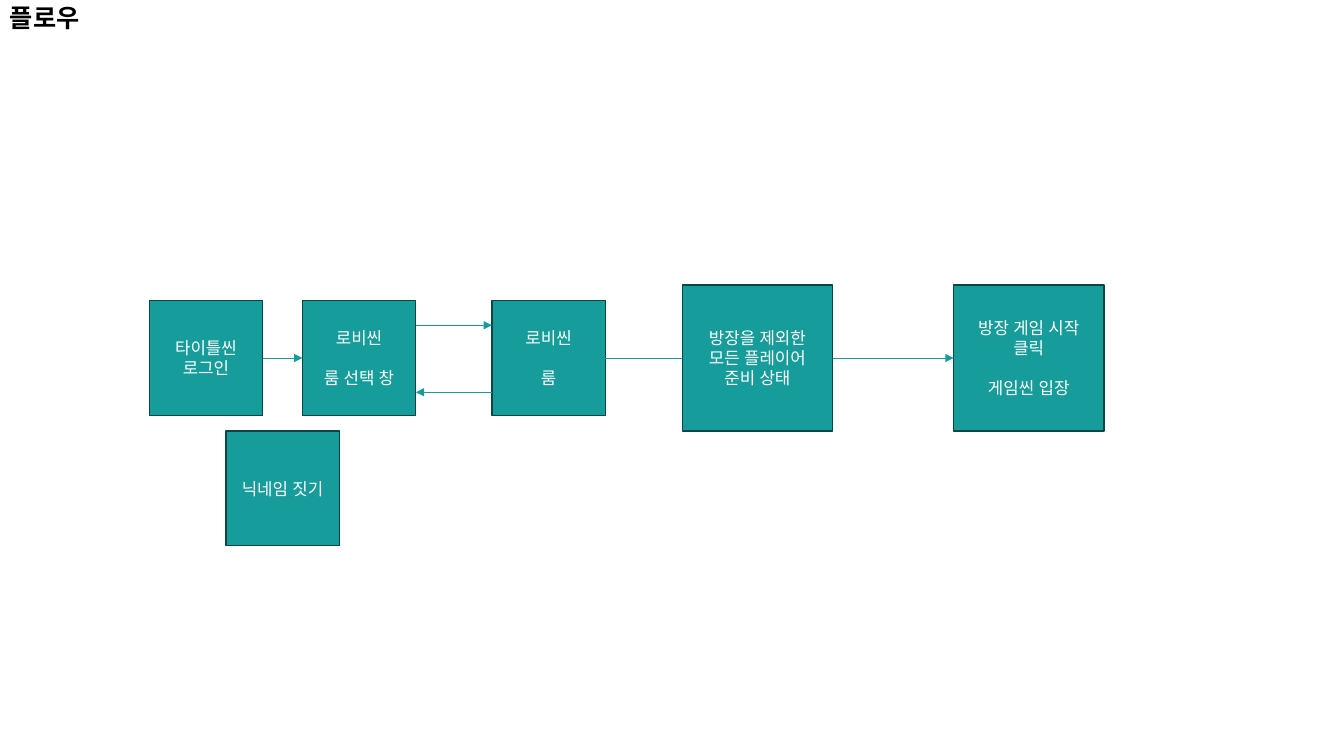
from dataclasses import dataclass

from lxml.etree import SubElement
from pptx import Presentation
from pptx.dml.color import RGBColor
from pptx.enum.shapes import MSO_CONNECTOR, MSO_SHAPE
from pptx.enum.text import MSO_ANCHOR, PP_ALIGN
from pptx.oxml.ns import qn
from pptx.util import Pt


@dataclass(frozen=True)
class Theme:
    font: str = "Lato"
    teal: RGBColor = RGBColor(0x16, 0x9C, 0x9A)
    outline: RGBColor = RGBColor(0x0A, 0x44, 0x43)
    white: RGBColor = RGBColor(0xFF, 0xFF, 0xFF)
    black: RGBColor = RGBColor(0, 0, 0)
    title_size: float = 18
    label_size: float = 12
    blank_line: float = 14.4


THEME = Theme()
SCENE = (81, 82)
STEP = (107.3, 104.5)
FLOW_MIDDLE = 255.7
LEFT, RIGHT = 1, 3


def write(para, text, *, size, color, bold=False, align=PP_ALIGN.LEFT, before=0):
    para.alignment = align
    para.space_before = Pt(before)
    span = para.add_run()
    span.text = text
    span.font.size = Pt(size)
    span.font.bold = bold
    span.font.color.rgb = color
    span.font.name = THEME.font
    SubElement(span.font._element, qn("a:ea"), typeface=THEME.font)


def add_title(page, text):
    box = page.shapes.add_textbox(Pt(0), Pt(0), Pt(100.8), Pt(67))
    frame = box.text_frame
    frame.word_wrap = True
    frame.margin_top = Pt(4)
    para = frame.paragraphs[0]
    para.line_spacing = 0.9
    write(para, text, size=THEME.title_size, color=THEME.black, bold=True)


def add_box(page, left, middle, size, lines, gap_before_last=False):
    """Add a teal box centred vertically on middle, one paragraph per line."""
    width, height = size
    box = page.shapes.add_shape(MSO_SHAPE.RECTANGLE, Pt(left), Pt(middle - height / 2),
                                Pt(width), Pt(height))
    box.shadow.inherit = False
    box.fill.solid()
    box.fill.fore_color.rgb = THEME.teal
    box.line.color.rgb = THEME.outline
    box.line.width = Pt(1)
    frame = box.text_frame
    frame.word_wrap = True
    frame.vertical_anchor = MSO_ANCHOR.MIDDLE
    for index, line in enumerate(lines):
        para = frame.add_paragraph() if index else frame.paragraphs[0]
        is_spaced = gap_before_last and index == len(lines) - 1
        write(para, line, size=THEME.label_size, color=THEME.white, align=PP_ALIGN.CENTER,
              before=THEME.blank_line if is_spaced else 0)
    return box


def add_line(page, start=(0, 0), end=(0, 0), head=True):
    line = page.shapes.add_connector(MSO_CONNECTOR.STRAIGHT, *map(Pt, start + end))
    line.line.color.rgb = THEME.teal
    line.line.width = Pt(0.5)
    if head:
        SubElement(line.line._get_or_add_ln(), qn("a:tailEnd"), type="triangle")
    SubElement(line._element.spPr, qn("a:effectLst"))
    return line


def join(page, source, target, head=True):
    line = add_line(page, head=head)
    line.begin_connect(source, RIGHT)
    line.end_connect(target, LEFT)


def main():
    deck = Presentation()
    deck.slide_width, deck.slide_height = Pt(960), Pt(540)
    page = deck.slides.add_slide(deck.slide_layouts[6])

    add_title(page, "플로우")
    login_left, lobby_left, room_left = 106.7, 216, 351.4
    login = add_box(page, login_left, FLOW_MIDDLE, SCENE, ["타이틀씬", "로그인"])
    lobby = add_box(page, lobby_left, FLOW_MIDDLE, SCENE, ["로비씬", "룸 선택 창"], True)
    room = add_box(page, room_left, FLOW_MIDDLE, SCENE, ["로비씬", "룸"], True)
    ready = add_box(page, 487.4, FLOW_MIDDLE, STEP, ["방장을 제외한", "모든 플레이어", "준비 상태"])
    start = add_box(page, 681.2, FLOW_MIDDLE, STEP, ["방장 게임 시작 클릭", "게임씬 입장"], True)
    add_box(page, (login_left + lobby_left) / 2, 348.8, SCENE, ["닉네임 짓기"])

    join(page, login, lobby)
    join(page, room, ready, head=False)
    join(page, ready, start)
    lobby_right = lobby_left + SCENE[0]
    add_line(page, (lobby_right, 232.3), (room_left, 232.3))
    add_line(page, (room_left, 280.2), (lobby_right, 280.2))

    deck.save("out.pptx")


if __name__ == "__main__":
    main()
